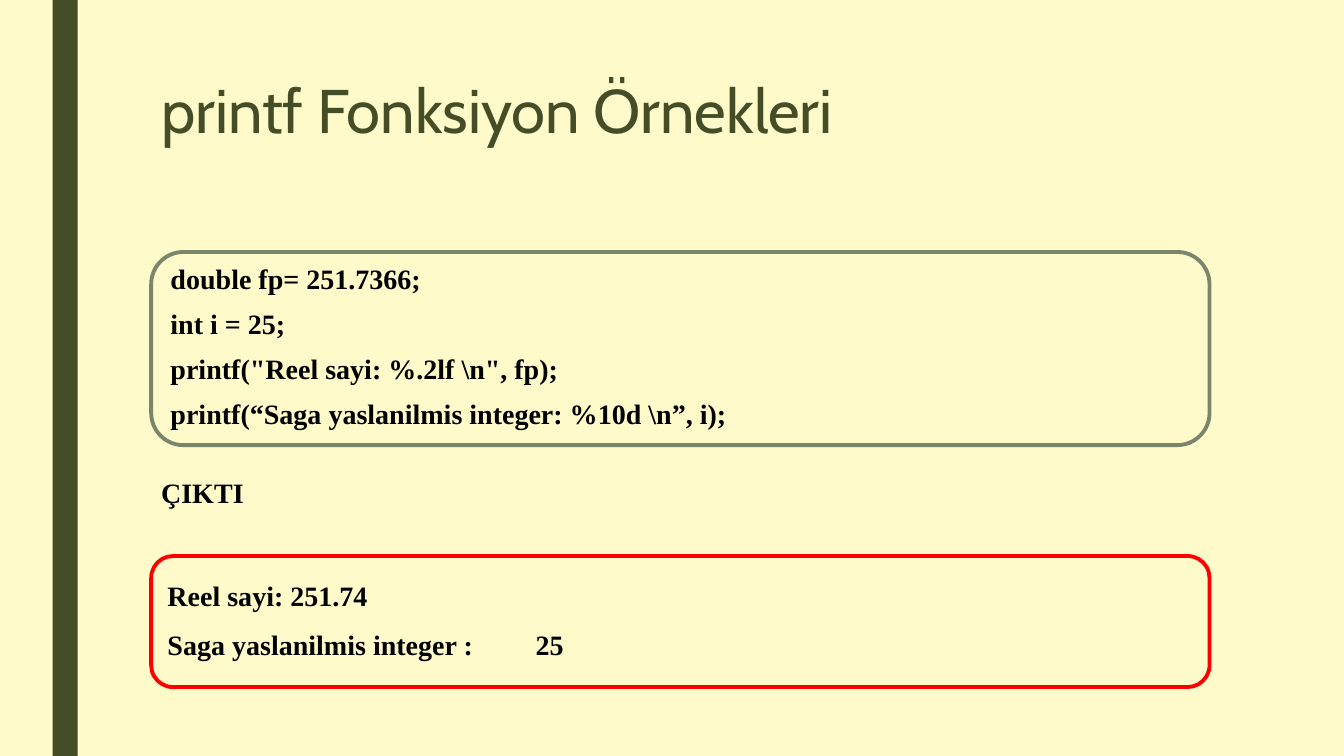
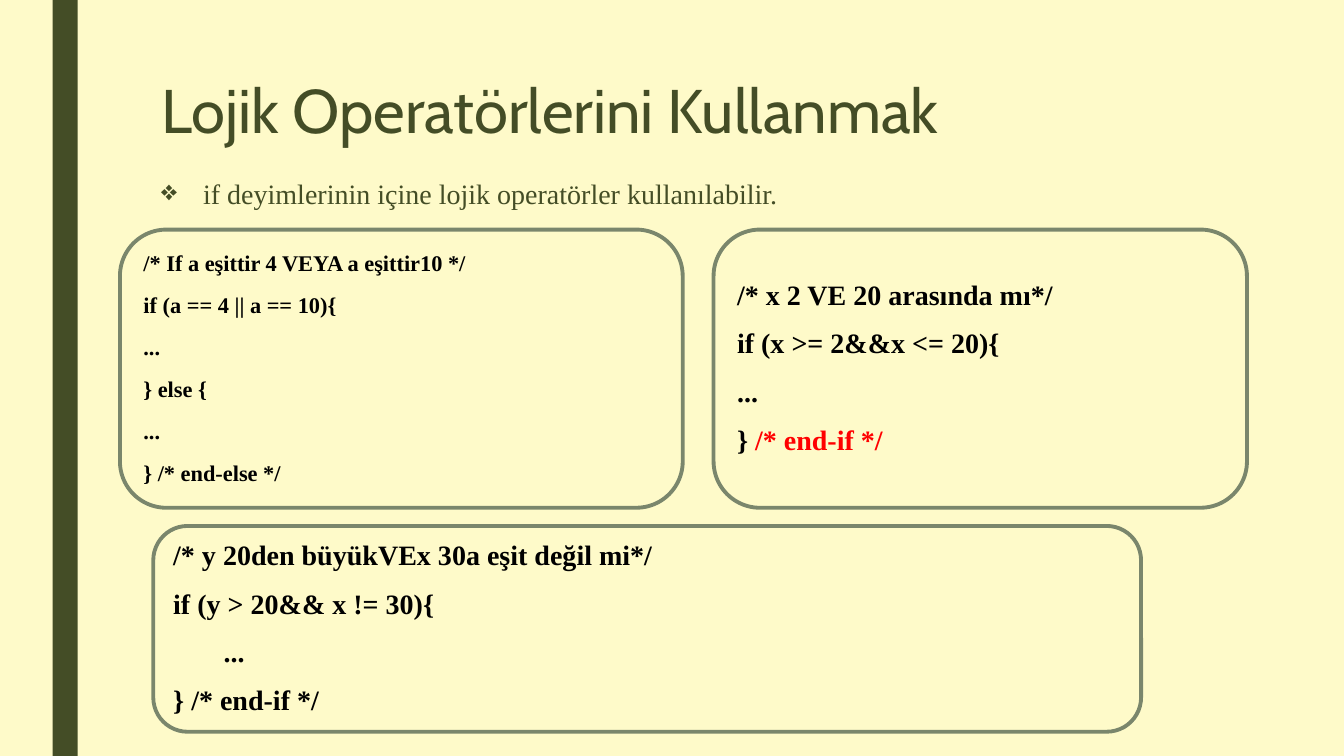
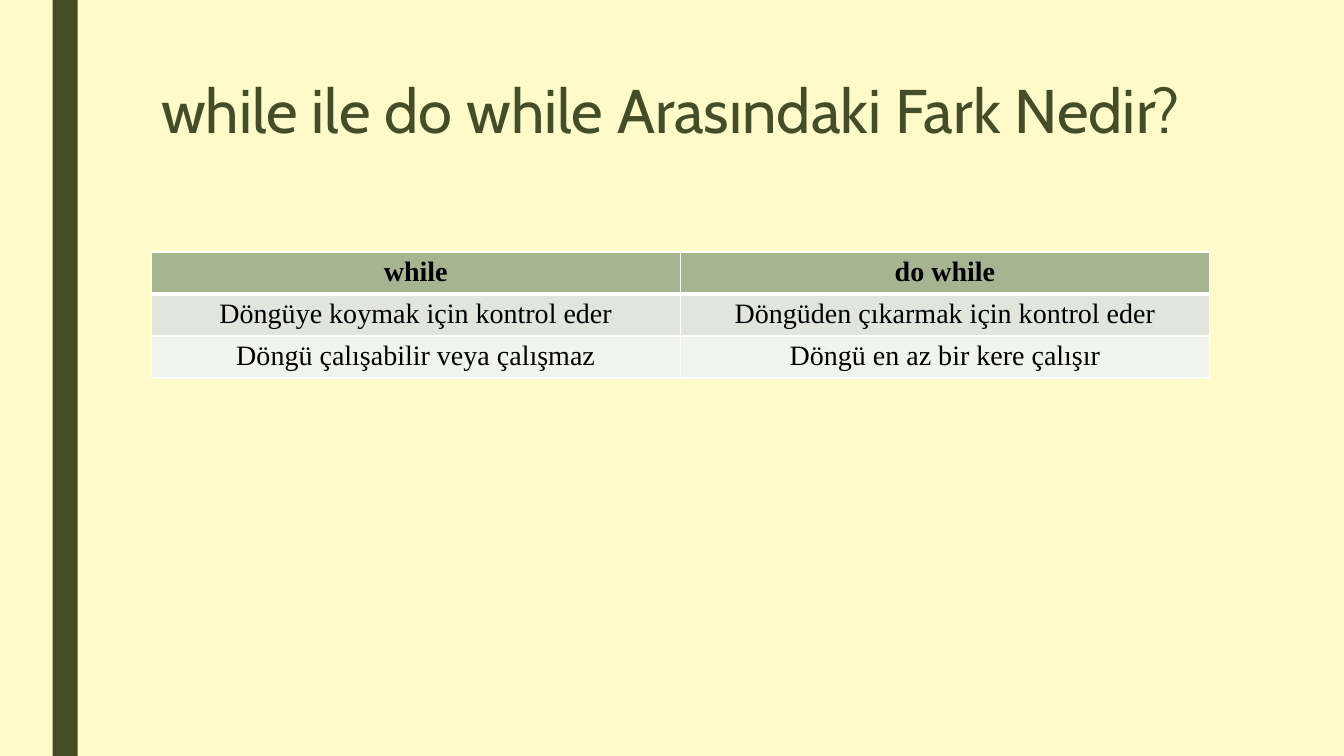
import pptx
import pptx.dml.color
import pptx.enum.shapes
import pptx.enum.text
import pptx.oxml
import pptx.oxml.ns
import pptx.util
from lxml import etree

Pt = pptx.util.Pt
RGBColor = pptx.dml.color.RGBColor
ALIGN = pptx.enum.text.PP_ALIGN
SHAPE = pptx.enum.shapes.MSO_SHAPE

CREAM = RGBColor(0xFE, 0xFA, 0xC9)
OLIVE = RGBColor(0x44, 0x4D, 0x26)
SAGE = RGBColor(0x7A, 0x86, 0x6C)
RED = RGBColor(0xFF, 0, 0)
BLACK = RGBColor(0, 0, 0)
WHITE = RGBColor(0xFF, 0xFF, 0xFF)
ROW_FILLS = [RGBColor(0xA5, 0xB5, 0x92), RGBColor(0xE1, 0xE5, 0xDC),
             RGBColor(0xF0, 0xF3, 0xEE)]

TITLE_FONT, BODY_FONT = "Cabin", "Times New Roman"
WIDTH, HEIGHT = 960, 540
LEFT, CONTENT_WIDTH = 108, 756
CONTENT_TOP = 180
BULLET_INDENT = 30
OUTPUT_TAB = 263
ROW_HEIGHT = 29.3

# Frames are left, top, width, height in points.
# A line is a string, or a list of (text, colour) spans.
SLIDES = [
    {
        "title": "printf Fonksiyon Örnekleri",
        "boxes": [
            {"frame": (LEFT, CONTENT_TOP, CONTENT_WIDTH, 138), "spacing": 0.84,
             "align": ALIGN.JUSTIFY,
             "lines": ["double fp= 251.7366;",
                       "int i = 25;",
                       'printf("Reel sayi: %.2lf \\n", fp);',
                       "printf(“Saga yaslanilmis integer: %10d \\n”, i);"]},
            {"frame": (LEFT, 397.2, CONTENT_WIDTH, 93.6), "outline": RED,
             "tab": OUTPUT_TAB,
             "lines": ["Reel sayi: 251.74",
                       "Saga yaslanilmis integer :\t25"]},
        ],
        "label": {"frame": (LEFT, 337.7, 94.3, 40), "lines": ["ÇIKTI"]},
    },
    {
        "title": "Lojik Operatörlerini Kullanmak",
        "label": {"frame": (LEFT, 124.5, CONTENT_WIDTH, 47), "bullet": "❖",
                  "bold": False, "color": OLIVE,
                  "lines": ["if deyimlerinin içine lojik operatörler kullanılabilir."]},
        "boxes": [
            {"frame": (85.7, 164, 402, 198.7), "size": 16,
             "lines": ["/* If a eşittir 4 VEYA a eşittir10 */",
                       "if (a == 4 || a == 10){",
                       "...",
                       "} else {",
                       "...",
                       "} /* end-else */"]},
            {"frame": (509.7, 164, 381, 198.7),
             "lines": ["/* x 2 VE 20 arasında mı*/",
                       "if (x >= 2&&x <= 20){",
                       "...",
                       [("} ", BLACK), ("/* end-if */", RED)]]},
            {"frame": (109.5, 375.7, 705.6, 147),
             "lines": ["/* y 20den büyükVEx 30a eşit değil mi*/",
                       "if (y > 20&& x != 30){",
                       "\t...",
                       "} /* end-if */"]},
        ],
    },
    {
        "title": "while ile do while Arasındaki Fark Nedir?",
        "table": [
            ("while", "do while"),
            ("Döngüye koymak için kontrol eder", "Döngüden çıkarmak için kontrol eder"),
            ("Döngü çalışabilir veya çalışmaz", "Döngü en az bir kere çalışır"),
        ],
    },
]


def add_span(para, text, size, color, bold=False, font=BODY_FONT):
    span = para.add_run()
    span.text = text
    span.font.name = font
    span.font.size = Pt(size)
    span.font.bold = bold
    span.font.color.rgb = color


def add_child(parent, tag, **attributes):
    child = etree.SubElement(parent, pptx.oxml.ns.qn(tag))
    for name, value in attributes.items():
        child.set(name, str(value))
    return child


def write_lines(frame, content):
    frame.word_wrap = True
    for index, line in enumerate(content["lines"]):
        para = frame.paragraphs[0] if index == 0 else frame.add_paragraph()
        properties = para._p.get_or_add_pPr()
        if "bullet" in content:
            properties.set("marL", str(Pt(BULLET_INDENT)))
            properties.set("indent", str(-Pt(BULLET_INDENT)))
            add_child(properties, "a:buChar", char=content["bullet"])
        if "tab" in content:
            stops = add_child(properties, "a:tabLst")
            add_child(stops, "a:tab", pos=Pt(content["tab"]), algn="l")
        para.alignment = content.get("align", ALIGN.LEFT)
        para.line_spacing = content.get("spacing", 0.94)
        para.space_before = Pt(10 if index else 0)
        para.space_after = Pt(2)
        spans = [(line, content.get("color", BLACK))] if isinstance(line, str) else line
        for text, color in spans:
            add_span(para, text, content.get("size", 20), color, content.get("bold", True))


def add_base(deck, title):
    """Add a slide with the side band and the title."""
    slide = deck.slides.add_slide(deck.slide_layouts[6])
    band = slide.shapes.add_shape(SHAPE.RECTANGLE, Pt(37.5), 0, Pt(18), Pt(HEIGHT))
    band.shadow.inherit = False
    band.fill.solid()
    band.fill.fore_color.rgb = OLIVE
    band.line.fill.background()
    box = slide.shapes.add_textbox(Pt(LEFT), Pt(54), Pt(CONTENT_WIDTH), Pt(116.6))
    box.text_frame.word_wrap = True
    para = box.text_frame.paragraphs[0]
    para.line_spacing = 0.89
    add_span(para, title, 44, OLIVE, font=TITLE_FONT)
    return slide


def add_label(slide, content):
    box = slide.shapes.add_textbox(*map(Pt, content["frame"]))
    write_lines(box.text_frame, content)


def add_code_box(slide, content):
    box = slide.shapes.add_shape(SHAPE.ROUNDED_RECTANGLE, *map(Pt, content["frame"]))
    box.shadow.inherit = False
    box.fill.background()
    box.line.color.rgb = content.get("outline", SAGE)
    box.line.width = Pt(2.75)
    box.text_frame.vertical_anchor = pptx.enum.text.MSO_ANCHOR.MIDDLE
    write_lines(box.text_frame, content)


def set_borders(cell, widths):
    """Draw white borders; widths are left, right, top, bottom."""
    properties = cell._tc.get_or_add_tcPr()
    for position, (side, width) in enumerate(zip("LRTB", widths)):
        border = add_child(properties, "a:ln" + side, w=Pt(width))
        fill = add_child(border, "a:solidFill")
        add_child(fill, "a:srgbClr", val=WHITE)
        properties.insert(position, border)


def add_comparison(slide, rows):
    columns = len(rows[0])
    table = slide.shapes.add_table(
        len(rows), columns, Pt(LEFT), Pt(CONTENT_TOP),
        Pt(CONTENT_WIDTH), Pt(ROW_HEIGHT * len(rows))).table
    for row_index, row in enumerate(rows):
        table.rows[row_index].height = Pt(ROW_HEIGHT)
        for column_index, text in enumerate(row):
            cell = table.cell(row_index, column_index)
            cell.margin_top = cell.margin_bottom = Pt(3)
            cell.fill.solid()
            cell.fill.fore_color.rgb = ROW_FILLS[row_index]
            set_borders(cell, (1, 1, 3 if row_index == 1 else 1, 3 if row_index == 0 else 1))
            para = cell.text_frame.paragraphs[0]
            para.alignment = ALIGN.CENTER
            add_span(para, text, 20, BLACK, bold=row_index == 0)


def main():
    deck = pptx.Presentation()
    deck.slide_width, deck.slide_height = Pt(WIDTH), Pt(HEIGHT)
    background = deck.slide_master.background.fill
    background.solid()
    background.fore_color.rgb = CREAM
    for content in SLIDES:
        slide = add_base(deck, content["title"])
        if "label" in content:
            add_label(slide, content["label"])
        for box in content.get("boxes", []):
            add_code_box(slide, box)
        if "table" in content:
            add_comparison(slide, content["table"])
    deck.save("out.pptx")


if __name__ == "__main__":
    main()
